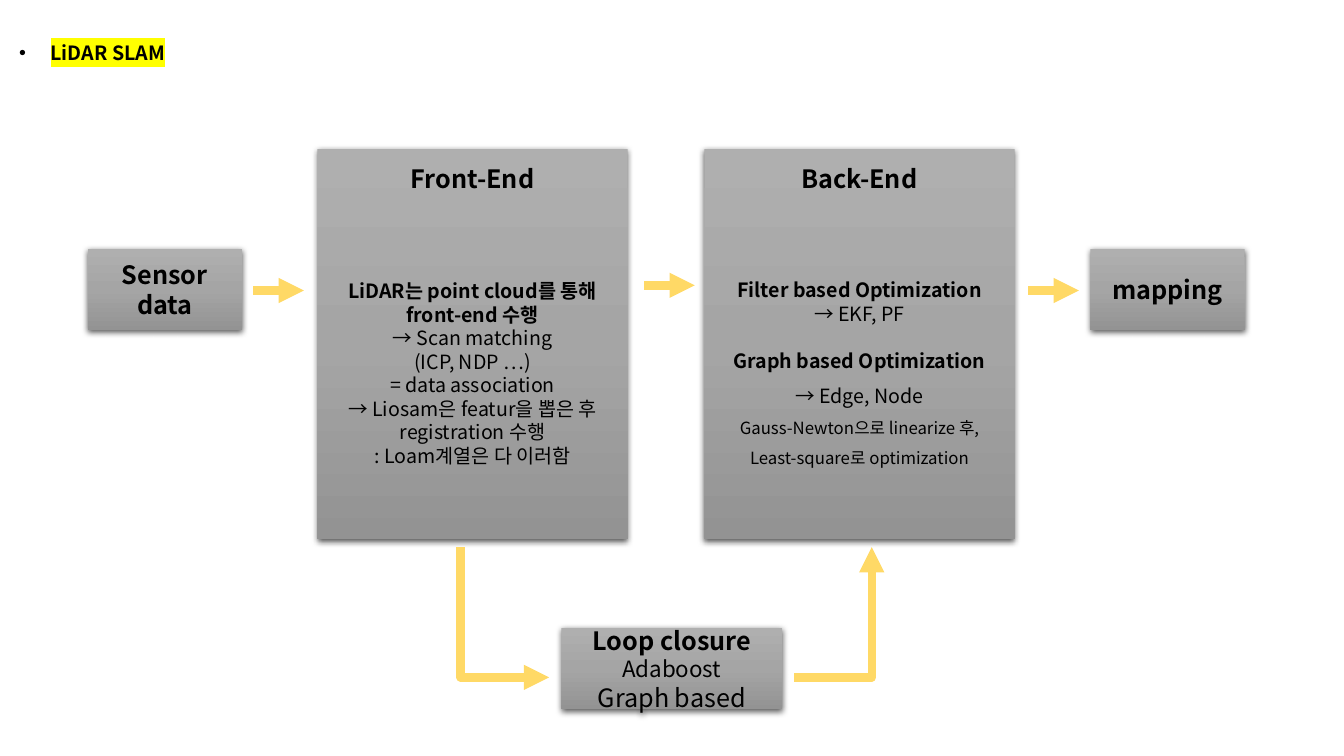
from copy import deepcopy
from dataclasses import dataclass

from lxml import etree
from pptx import Presentation
from pptx.dml.color import RGBColor
from pptx.enum import shapes, text
from pptx.oxml.ns import qn
from pptx.util import Cm, Pt


@dataclass(frozen=True)
class Theme:
    font: str = "Noto Sans CJK KR"
    ink: str = "000000"
    highlight: str = "FFFF00"
    arrow: str = "FFD966"
    gradient: tuple = ("AFAFAF", "A5A5A5", "939393")
    heading: int = 18
    label: int = 16
    body: int = 14
    small: int = 12
    arrow_width: int = 6


THEME = Theme()
TITLE = "LiDAR SLAM"

# Each line: wording, size, bold, line spacing, space before in points
def line(wording, size=THEME.body, bold=False, spacing=None, before=0):
    return wording, size, bold, spacing, before


def heading(wording):
    return line(wording, THEME.heading, True)


STAGES = [
    ((2.21, 6.27, 3.89, 2.06), [heading("Sensor"), heading("data")]),
    ((27.48, 6.27, 3.89, 2.06), [heading("mapping")]),
    ((14.15, 15.82, 5.56, 2.06), [
        heading("Loop closure"),
        line("Adaboost", THEME.label),
        line("Graph based", THEME.heading),
    ]),
]
PANEL_TOP, PANEL_WIDTH, PANEL_HEIGHT = 3.76, 7.82, 9.83
BODY_INDENT, BODY_TOP, BODY_HEIGHT = 0.28, 5.61, 7.59
PANELS = [
    (8.0, "Front-End", [
        line("LiDAR는 point cloud를 통해 front-end 수행", bold=True),
        line("→ Scan matching"),
        line("(ICP, NDP …)"),
        line("= data association"),
        line("→ Liosam은 featur을 뽑은 후 registration 수행"),
        line(": Loam계열은 다 이러함"),
    ]),
    (17.75, "Back-End", [
        line("Filter based Optimization", bold=True),
        line("→ EKF, PF"),
        line("Graph based Optimization", bold=True, before=17),
        line("→ Edge, Node", spacing=1.5),
        line("Gauss-Newton으로 linearize 후, Least-square로 optimization",
             THEME.small, spacing=1.5),
    ]),
]
ARROWS = [(6.38, 7.32), (16.23, 7.19), (25.91, 7.32)]
ARROW_LENGTH = 1.28
DOWN_BEND = (11.61, 13.79, 13.84, 17.07)
UP_BEND = (20.02, 17.07, 21.97, 13.79)


def set_font(font, size, bold):
    font.size = Pt(size)
    font.bold = bold
    font.color.rgb = RGBColor.from_string(THEME.ink)
    font.name = THEME.font


def write(box, lines, anchor=text.MSO_ANCHOR.MIDDLE):
    frame = box.text_frame
    frame.word_wrap = True
    frame.auto_size = text.MSO_AUTO_SIZE.NONE
    frame.vertical_anchor = anchor
    for index, (wording, size, bold, spacing, before) in enumerate(lines):
        para = frame.add_paragraph() if index else frame.paragraphs[0]
        para.text = wording
        para.alignment = text.PP_ALIGN.CENTER
        if spacing:
            para.line_spacing = spacing
        if before:
            para.space_before = Pt(before)
        set_font(para.font, size, bold)


def add_block(page, place, lines, anchor=text.MSO_ANCHOR.MIDDLE):
    box = page.shapes.add_shape(shapes.MSO_SHAPE.RECTANGLE, *map(Cm, place))
    box.line.fill.background()
    box.fill.gradient()
    box.fill.gradient_angle = 270
    stops = box._element.spPr.find(".//" + qn("a:gsLst"))
    stops.insert(1, deepcopy(stops[0]))
    for index, stop in enumerate(box.fill.gradient_stops):
        stop.position = index / 2
        stop.color.rgb = RGBColor.from_string(THEME.gradient[index])
    box.shadow.inherit = False
    effects = box._element.spPr.find(qn("a:effectLst"))
    shadow = etree.SubElement(effects, qn("a:outerShdw"), blurRad=str(Pt(4.5)),
                              dist=str(Pt(1.5)), dir="5400000", rotWithShape="0")
    color = etree.SubElement(shadow, qn("a:srgbClr"), val=THEME.ink)
    etree.SubElement(color, qn("a:alpha"), val="63000")
    write(box, lines, anchor)
    return box


def add_arrow(page, kind, ends):
    arrow = page.shapes.add_connector(kind, *map(Cm, ends))
    arrow.line.color.rgb = RGBColor.from_string(THEME.arrow)
    arrow.line.width = Pt(THEME.arrow_width)
    etree.SubElement(arrow.line._get_or_add_ln(), qn("a:tailEnd"), type="triangle")
    properties = arrow._element.spPr
    etree.SubElement(properties, qn("a:effectLst"))
    if kind == shapes.MSO_CONNECTOR.ELBOW:
        properties.find(qn("a:prstGeom")).set("prst", "bentConnector2")
    return arrow


def add_down_bend(page, x1, y1, x2, y2):
    middle_x, middle_y = (x1 + x2) / 2, (y1 + y2) / 2
    half_width, half_height = (y2 - y1) / 2, (x2 - x1) / 2
    arrow = add_arrow(page, shapes.MSO_CONNECTOR.ELBOW,
                      (middle_x + half_width, middle_y - half_height,
                       middle_x - half_width, middle_y + half_height))
    arrow._element.spPr.find(qn("a:xfrm")).set("rot", "16200000")


def add_title(page):
    title = page.shapes.title
    title.left, title.top, title.width, title.height = map(Cm, (0.23, 0.84, 33.4, 1.65))
    frame = title.text_frame
    frame.auto_size = text.MSO_AUTO_SIZE.NONE
    frame.vertical_anchor = text.MSO_ANCHOR.TOP
    frame.margin_top = Cm(0.2)
    para = frame.paragraphs[0]
    para.alignment = text.PP_ALIGN.LEFT
    properties = para._p.get_or_add_pPr()
    properties.set("marL", str(Cm(0.79)))
    properties.set("indent", str(Cm(-0.79)))
    etree.SubElement(properties, qn("a:buFont"), typeface="Arial")
    etree.SubElement(properties, qn("a:buChar"), char="•")
    span = para.add_run()
    span.text = TITLE
    set_font(span.font, THEME.body, True)
    highlight = etree.Element(qn("a:highlight"))
    etree.SubElement(highlight, qn("a:srgbClr"), val=THEME.highlight)
    span._r.rPr.find(qn("a:solidFill")).addnext(highlight)


def main():
    deck = Presentation()
    deck.slide_width, deck.slide_height = Cm(33.87), Cm(19.05)
    page = deck.slides.add_slide(deck.slide_layouts[5])
    add_title(page)
    for place, lines in STAGES:
        add_block(page, place, lines)
    for left, name, lines in PANELS:
        panel = add_block(page, (left, PANEL_TOP, PANEL_WIDTH, PANEL_HEIGHT),
                          [heading(name)], text.MSO_ANCHOR.TOP)
        panel.text_frame.margin_top = Cm(0.35)
        body = page.shapes.add_textbox(Cm(left + BODY_INDENT), Cm(BODY_TOP),
                                       Cm(PANEL_WIDTH - 2 * BODY_INDENT), Cm(BODY_HEIGHT))
        write(body, lines)
    for x, y in ARROWS:
        add_arrow(page, shapes.MSO_CONNECTOR.STRAIGHT, (x, y, x + ARROW_LENGTH, y))
    add_down_bend(page, *DOWN_BEND)
    add_arrow(page, shapes.MSO_CONNECTOR.ELBOW, UP_BEND)
    deck.save("out.pptx")


if __name__ == "__main__":
    main()
